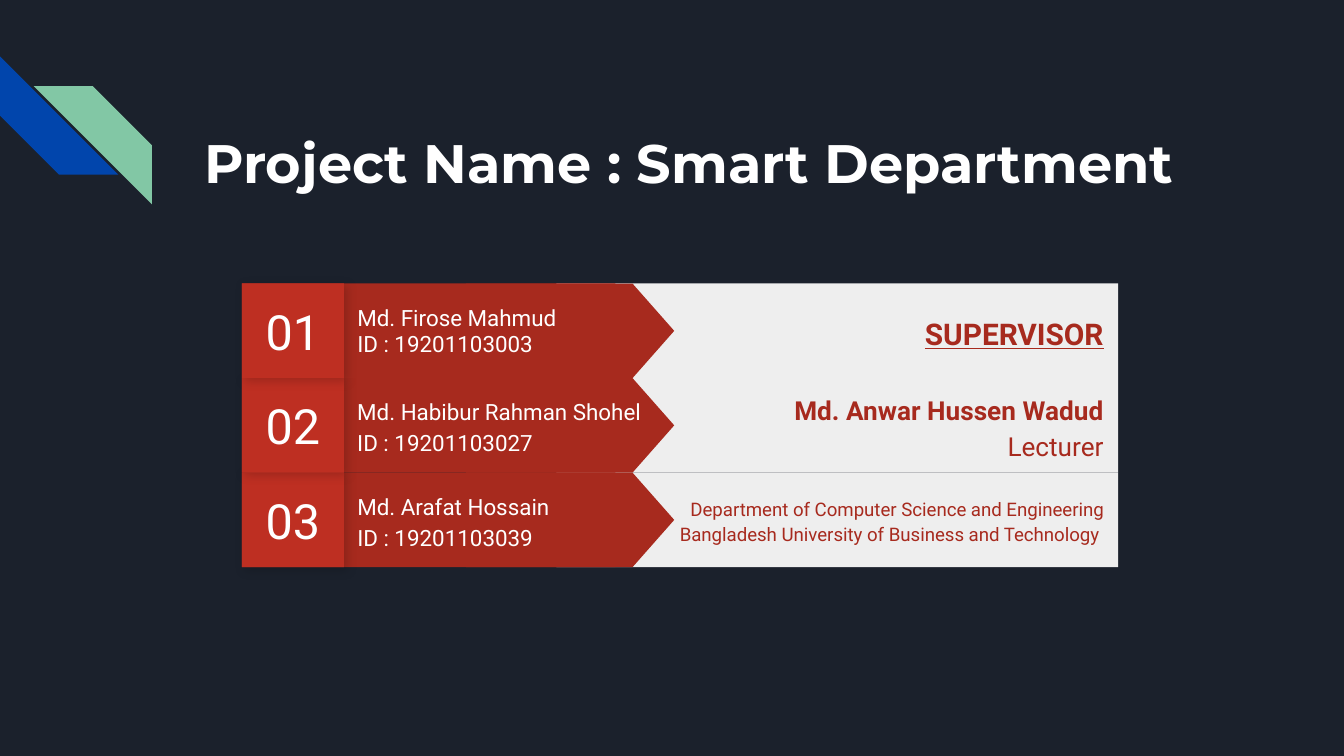
"""Build a project title slide with a team list and supervisor details."""
import lxml.etree
import pptx
import pptx.dml.color
import pptx.enum.shapes
import pptx.enum.text
import pptx.oxml.ns
import pptx.util

Inches = pptx.util.Inches
SHAPES = pptx.enum.shapes.MSO_SHAPE
ALIGN = pptx.enum.text.PP_ALIGN
ANCHOR = pptx.enum.text.MSO_ANCHOR

WHITE = "FFFFFF"
RED = "A72A1E"
ROWS_TOP = 2.11
ROW_HEIGHT = 2.11 / 3
NUMBER_LEFT, NUMBER_WIDTH = 1.8, 0.76
MEMBERS = [
    ("Md. Firose Mahmud", "ID : 19201103003", 2.12, 1.0),
    ("Md. Habibur Rahman Shohel", "ID : 19201103027", 2.46, 1.15),
    ("Md. Arafat Hossain", "ID : 19201103039", 2.09, 1.15),
]
SUPERVISOR = [
    (["SUPERVISOR"], 16, 5.07),
    (["Md. Anwar Hussen Wadud", "Lecturer"], 14, 4.57),
    (["Department of Computer Science and Engineering",
      "Bangladesh University of Business and Technology "], 10, 4.57),
]
SUPERVISOR_RIGHT = 8.31


def rgb(color):
    """Turn a hex string into a colour."""
    return pptx.dml.color.RGBColor.from_string(color)


def add_block(slide, preset, box, color, rotation=0):
    """Add a flat preset shape without an outline."""
    shape = slide.shapes.add_shape(preset, *map(Inches, box))
    shape.shadow.inherit = False
    shape.fill.solid()
    shape.fill.fore_color.rgb = rgb(color)
    shape.line.fill.background()
    shape.rotation = rotation
    return shape


def flip_horizontally(shape):
    """Mirror a shape from left to right."""
    shape.element.spPr.find(pptx.oxml.ns.qn("a:xfrm")).set("flipH", "1")


def add_soft_shadow(shape):
    """Give a shape a faint diagonal shadow."""
    effects = shape.element.spPr.find(pptx.oxml.ns.qn("a:effectLst"))
    shadow = lxml.etree.SubElement(
        effects, pptx.oxml.ns.qn("a:outerShdw"), blurRad=str(pptx.util.Pt(5.6)),
        dist=str(pptx.util.Pt(2.2)), dir="2700000", algn="bl", rotWithShape="0")
    color = lxml.etree.SubElement(shadow, pptx.oxml.ns.qn("a:srgbClr"), val="000000")
    lxml.etree.SubElement(color, pptx.oxml.ns.qn("a:alpha"), val="17000")


def write_text(shape, lines, size, color, font="Roboto", align=ALIGN.LEFT,
               anchor=ANCHOR.MIDDLE, spacing=1.0):
    """Write formatted lines into a shape."""
    frame = shape.text_frame
    frame.word_wrap = True
    frame.vertical_anchor = anchor
    frame.margin_left = frame.margin_right = Inches(0.1)
    frame.margin_top = frame.margin_bottom = Inches(0.1)
    frame.text = "\n".join(lines)
    for paragraph in frame.paragraphs:
        paragraph.alignment = align
        paragraph.line_spacing = spacing
        for run in paragraph.runs:
            run.font.name = font
            run.font.size = pptx.util.Pt(size)
            run.font.color.rgb = rgb(color)


def add_text(slide, box, lines, size, color, **options):
    """Add a text box and return its first run's font."""
    shape = slide.shapes.add_textbox(*map(Inches, box))
    write_text(shape, lines, size, color, **options)
    return shape.text_frame.paragraphs[0].runs[0].font


def add_corner_stripes(slide):
    """Add the two diagonal stripes at the left edge."""
    add_block(slide, SHAPES.DIAGONAL_STRIPE, (0, 0.42, 0.88, 0.88), "0145AC", 270)
    flip_horizontally(
        add_block(slide, SHAPES.DIAGONAL_STRIPE, (0.25, 0.64, 0.88, 0.88), "82C7A5"))


def add_row(slide, index):
    """Add one numbered member with the supervisor text beside it."""
    top = ROWS_TOP + index * ROW_HEIGHT
    name, identifier, name_width, spacing = MEMBERS[index]
    lines, size, left = SUPERVISOR[index]
    add_block(slide, SHAPES.RECTANGLE, (4.14, top, 4.18, ROW_HEIGHT), "EEEEEE")
    flip_horizontally(
        add_block(slide, SHAPES.RECTANGLE, (2.56, top, 2.02, ROW_HEIGHT), RED))
    arrow_length = 1.55
    arrow_top = top + (ROW_HEIGHT - arrow_length) / 2
    add_block(slide, SHAPES.FLOWCHART_OFFPAGE_CONNECTOR,
              (3.89, arrow_top, ROW_HEIGHT, arrow_length), RED, 270)
    add_text(slide, (2.56, top + 0.08, name_width, 0.54), [name, identifier],
             12, WHITE, spacing=spacing)
    number_box = (NUMBER_LEFT, top, NUMBER_WIDTH, ROW_HEIGHT)
    add_soft_shadow(add_block(slide, SHAPES.RECTANGLE, number_box, "B02C20"))
    number = add_block(slide, SHAPES.RECTANGLE, number_box, "BE2F22")
    write_text(number, [f"{index + 1:02}"], 26, WHITE, align=ALIGN.CENTER)
    font = add_text(slide, (left, top, SUPERVISOR_RIGHT - left, ROW_HEIGHT), lines,
                    size, RED, align=ALIGN.RIGHT, spacing=1.15)
    font.bold = index < 2
    font.underline = index == 0


def main():
    """Build and save the slide."""
    presentation = pptx.Presentation()
    presentation.slide_width = Inches(10)
    presentation.slide_height = Inches(10 * 9 / 16)
    slide = presentation.slides.add_slide(presentation.slide_layouts[6])
    slide.background.fill.solid()
    slide.background.fill.fore_color.rgb = rgb("1B212C")
    add_corner_stripes(slide)
    title_font = add_text(slide, (1.42, 0.86, 7.7, 1), ["Project Name : Smart Department"],
                          29, WHITE, font="Montserrat", anchor=ANCHOR.TOP)
    title_font.bold = True
    for index in reversed(range(len(MEMBERS))):
        add_row(slide, index)
    presentation.save("out.pptx")


if __name__ == "__main__":
    main()
